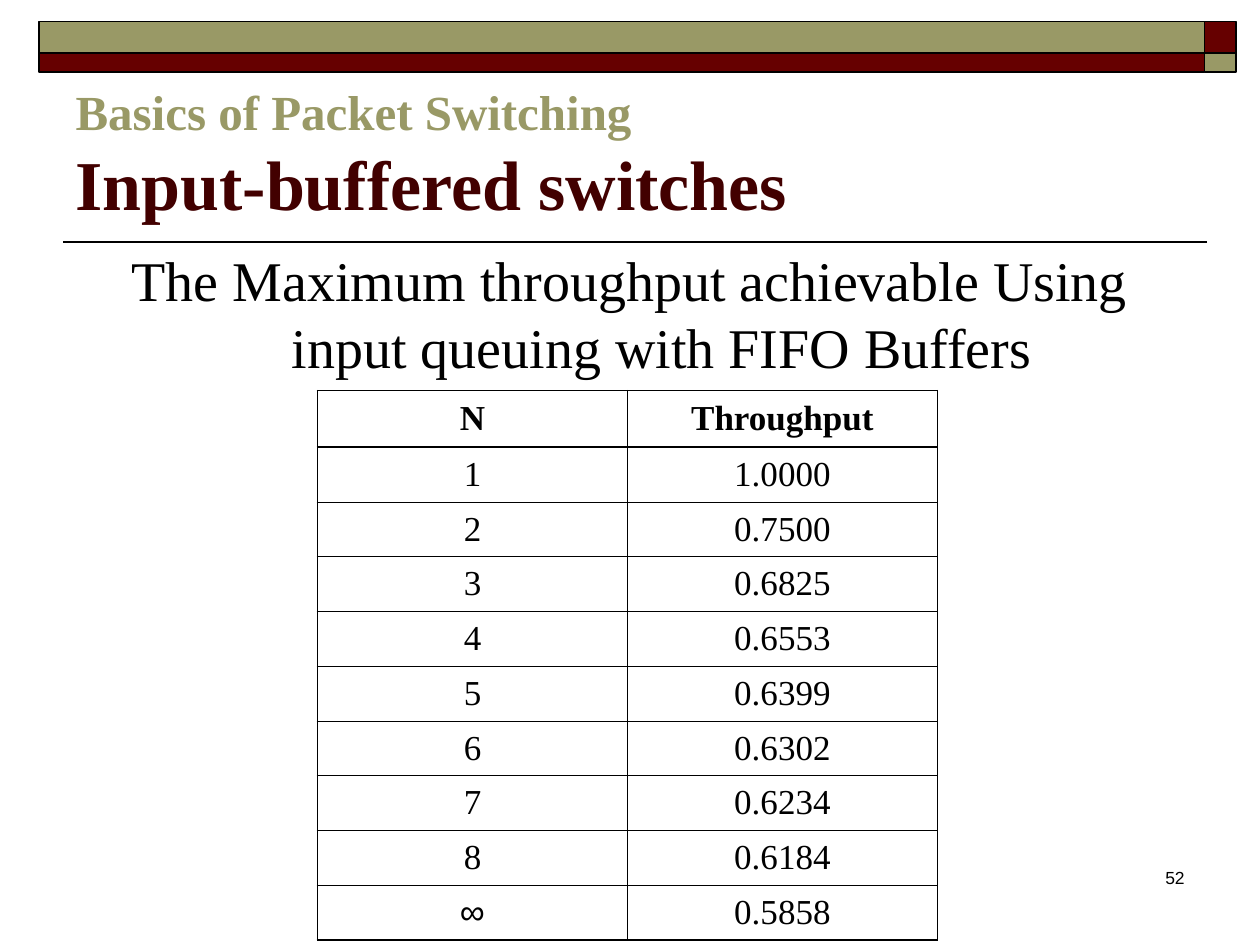
import pptx
import pptx.util
import pptx.dml.color
import pptx.enum.shapes
import pptx.enum.text
import pptx.oxml
from lxml import etree

Inches = pptx.util.Inches
Pt = pptx.util.Pt
RGBColor = pptx.dml.color.RGBColor
Align = pptx.enum.text.PP_ALIGN
Anchor = pptx.enum.text.MSO_ANCHOR

BLACK = RGBColor(0x00, 0x00, 0x00)
OLIVE = RGBColor(0x99, 0x99, 0x66)
MAROON = RGBColor(0x66, 0x00, 0x00)
DARK_MAROON = RGBColor(0x42, 0x00, 0x00)
SERIF = "Times New Roman"
DRAWING_NS = "http://schemas.openxmlformats.org/drawingml/2006/main"
OUTER, INNER = Pt(1.08), Pt(0.45)


def style_font(font, size, color, name=SERIF, bold=False):
    font.name = name
    font.size = Pt(size)
    font.bold = bold
    font.color.rgb = color


def add_border(cell, side, width):
    """Draw one side (L, R, T or B) of a table cell; call in that order."""
    cell._tc.get_or_add_tcPr().append(pptx.oxml.parse_xml(
        f'<a:ln{side} xmlns:a="{DRAWING_NS}" w="{width}"><a:solidFill>'
        f'<a:srgbClr val="{BLACK}"/></a:solidFill></a:ln{side}>'))


deck = pptx.Presentation()
deck.slide_width = Inches(10)
deck.slide_height = Inches(7.5)
page = deck.slides.add_slide(deck.slide_layouts[5])

# Header band and rule
rule = page.shapes.add_connector(
    pptx.enum.shapes.MSO_CONNECTOR.STRAIGHT,
    Inches(9.58), Inches(1.92), Inches(0.5), Inches(1.92))
rule.line.color.rgb = BLACK
rule.line.width = Pt(1)
etree.SubElement(rule._element.spPr, f"{{{DRAWING_NS}}}effectLst")

for left, top, width, height, color in [
    (9.56, 0.17, 0.25, 0.25, MAROON),
    (0.31, 0.17, 9.25, 0.25, OLIVE),
    (0.31, 0.42, 9.25, 0.15, MAROON),
    (9.56, 0.42, 0.25, 0.15, OLIVE),
]:
    band = page.shapes.add_shape(
        pptx.enum.shapes.MSO_SHAPE.RECTANGLE,
        Inches(left), Inches(top), Inches(width), Inches(height))
    band.shadow.inherit = False
    band.fill.solid()
    band.fill.fore_color.rgb = color
    band.line.color.rgb = BLACK
    band.line.width = Pt(1)

# Title
title = page.shapes.title
title.left, title.top = Inches(0.5), Inches(0.58)
title.width, title.height = Inches(9), Inches(1.25)
title.text_frame.auto_size = pptx.enum.text.MSO_AUTO_SIZE.NONE
title.text_frame.vertical_anchor = Anchor.BOTTOM
para = title.text_frame.paragraphs[0]
para.alignment = Align.LEFT
span = para.add_run()
span.text = "Basics of Packet Switching"
style_font(span.font, 28, OLIVE, bold=True)
para.add_line_break()
span = para.add_run()
span.text = "Input-buffered switches"
style_font(span.font, 40, DARK_MAROON, bold=True)

# Throughput table
rows = [
    ("N", "Throughput"),
    ("1", "1.0000"),
    ("2", "0.7500"),
    ("3", "0.6825"),
    ("4", "0.6553"),
    ("5", "0.6399"),
    ("6", "0.6302"),
    ("7", "0.6234"),
    ("8", "0.6184"),
    ("∞", "0.5858"),
]
last = len(rows) - 1
table = page.shapes.add_table(
    len(rows), 2, Inches(2.52), Inches(3.1), Inches(4.92), Inches(4.36)).table
table.first_row = True
table.horz_banding = False
for index, values in enumerate(rows):
    table.rows[index].height = Inches(0.45 if index == 0 else (4.36 - 0.45) / last)
    for column, value in enumerate(values):
        cell = table.cell(index, column)
        cell.text = value
        cell.vertical_anchor = Anchor.MIDDLE
        para = cell.text_frame.paragraphs[0]
        para.alignment = Align.CENTER
        style_font(para.font, 20, BLACK, "Arial" if value == "∞" else SERIF, index == 0)
        add_border(cell, "L", OUTER if column == 0 else INNER)
        add_border(cell, "R", OUTER if column == 1 else INNER)
        add_border(cell, "T", OUTER if index <= 1 else INNER)
        add_border(cell, "B", OUTER if index in (0, last) else INNER)
        cell.fill.background()

# Table caption and page number
for left, top, width, height, text, align, size, name in [
    (0.75, 1.9, 8.5, 1.46,
     "The Maximum throughput achievable Using input queuing with FIFO Buffers",
     Align.CENTER, 32, SERIF),
    (7.42, 6.83, 2.08, 0.5, "52", Align.RIGHT, 10, "Arial"),
]:
    box = page.shapes.add_textbox(
        Inches(left), Inches(top), Inches(width), Inches(height))
    box.text_frame.word_wrap = True
    para = box.text_frame.paragraphs[0]
    para.text = text
    para.alignment = align
    style_font(para.font, size, BLACK, name)
    if align == Align.CENTER:
        hanging = para._p.get_or_add_pPr()
        hanging.set("marL", str(Inches(0.51)))
        hanging.set("indent", str(Inches(-0.51)))

deck.save("out.pptx")
